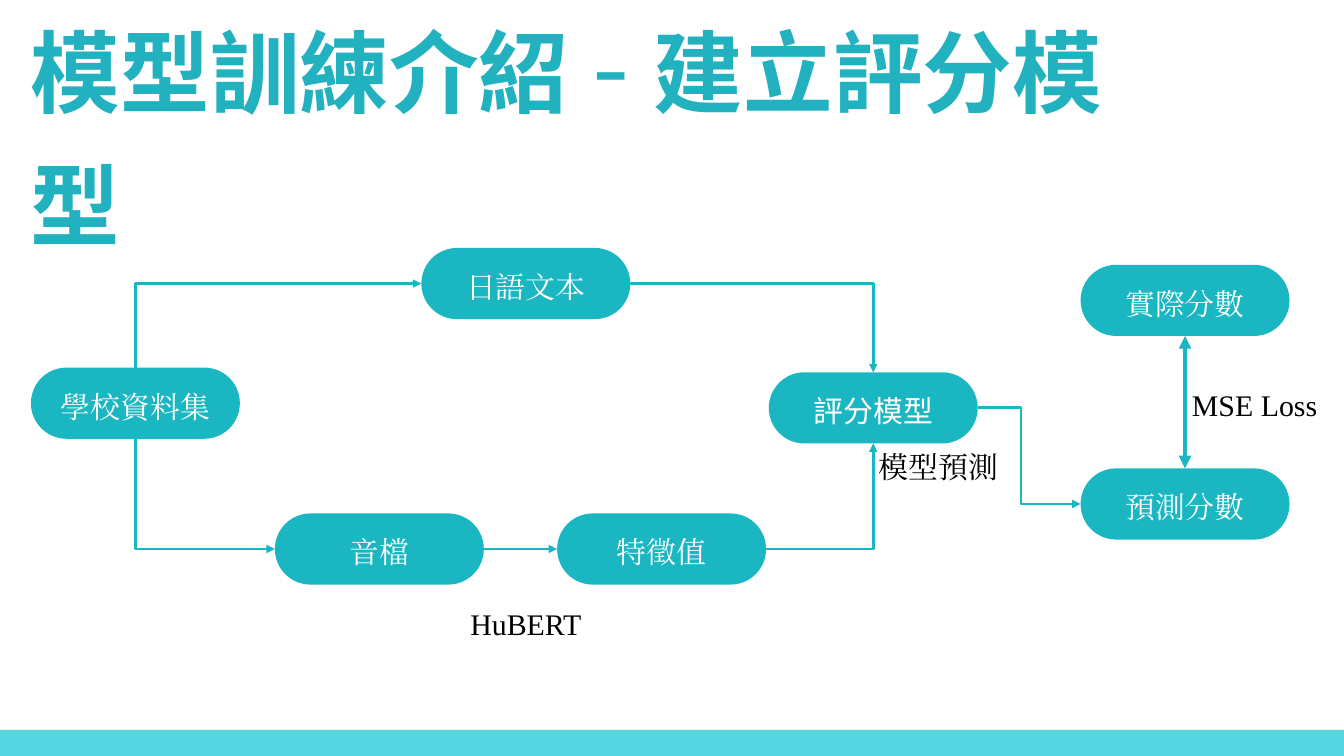
import pptx
import pptx.util
import pptx.dml.color
import pptx.enum.shapes
import pptx.enum.text
import pptx.oxml
import pptx.oxml.ns
from pptx.util import Inches

THEME = {
    "title_color": "22B1BE",
    "node_color": "1AB7C2",
    "footer_color": "55D6E1",
    "label_color": "000000",
    "node_text_color": "FFFFFF",
    "title_font": "Noto Sans CJK SC",
    "body_font": "Times New Roman",
    "model_font": "Lato",
    "title_size": 96,
    "dash_size": 115,
    "body_size": 32,
    "title_spacing": 139.1,
    "label_spacing": 36,
    "node_spacing": 44.8,
}

TITLE = [("模型訓練介紹", True), (" - ", False), ("建立評分模型", True)]
NODE_WIDTH, NODE_HEIGHT = 3.11, 1.06
NODES = {
    "學校資料集": (0.46, 5.47),
    "音檔": (4.09, 7.64),
    "特徵值": (8.29, 7.64),
    "日語文本": (6.27, 3.69),
    "評分模型": (11.44, 5.54),
    "實際分數": (16.08, 3.94),
    "預測分數": (16.08, 6.97),
}
LABELS = [
    ("HuBERT", 6.3, 9.04, 3.05),
    ("MSE Loss", 17.67, 5.79, 2),
    ("模型預測", 13, 6.71, 1.93),
]
TOP, LEFT, BOTTOM, RIGHT = range(4)
ELBOWS = [
    ("學校資料集", BOTTOM, "音檔", LEFT, 0),
    ("學校資料集", TOP, "日語文本", LEFT, 0),
    ("日語文本", RIGHT, "評分模型", TOP, 1),
    ("特徵值", RIGHT, "評分模型", BOTTOM, 1),
    ("評分模型", RIGHT, "預測分數", LEFT, 0.42),
]
STRAIGHTS = [
    ("音檔", RIGHT, "特徵值", LEFT, 3, ["tailEnd"]),
    ("實際分數", BOTTOM, "預測分數", TOP, 4.5, ["headEnd", "tailEnd"]),
]


def color(name):
    return pptx.dml.color.RGBColor.from_string(THEME[name])


def format_run(run, font, size, color_name, bold=False):
    run.font.name = font
    run.font.size = pptx.util.Pt(size)
    run.font.bold = bold
    run.font.color.rgb = color(color_name)
    east_asian = pptx.oxml.parse_xml(
        f'<a:ea {pptx.oxml.ns.nsdecls("a")} typeface="{font}"/>')
    run.font._element.append(east_asian)


def set_frame(text_frame, margin, anchor):
    text_frame.word_wrap = True
    text_frame.auto_size = pptx.enum.text.MSO_AUTO_SIZE.NONE
    text_frame.vertical_anchor = anchor
    text_frame.margin_left = text_frame.margin_right = Inches(margin)
    text_frame.margin_top = text_frame.margin_bottom = Inches(margin)


def set_centred_text(text_frame, text, font, color_name, spacing):
    text_frame.text = text
    paragraph = text_frame.paragraphs[0]
    paragraph.alignment = pptx.enum.text.PP_ALIGN.CENTER
    paragraph.line_spacing = pptx.util.Pt(spacing)
    format_run(paragraph.runs[0], font, THEME["body_size"], color_name)


def add_filled_shape(slide, kind, left, top, width, height, color_name):
    shape = slide.shapes.add_shape(
        kind, Inches(left), Inches(top), Inches(width), Inches(height))
    shape.shadow.inherit = False
    shape.fill.solid()
    shape.fill.fore_color.rgb = color(color_name)
    shape.line.fill.background()
    return shape


def add_title(slide):
    title = slide.shapes.title
    title.left, title.top = Inches(0.46), Inches(-0.03)
    title.width, title.height = Inches(17.12), Inches(1.85)
    set_frame(title.text_frame, 0, pptx.enum.text.MSO_ANCHOR.TOP)
    paragraph = title.text_frame.paragraphs[0]
    paragraph.alignment = pptx.enum.text.PP_ALIGN.LEFT
    paragraph.line_spacing = pptx.util.Pt(THEME["title_spacing"])
    for text, bold in TITLE:
        run = paragraph.add_run()
        run.text = text
        size = THEME["title_size"] if bold else THEME["dash_size"]
        format_run(run, THEME["title_font"], size, "title_color", bold)


def add_node(slide, text, left, top):
    node = add_filled_shape(
        slide, pptx.enum.shapes.MSO_SHAPE.ROUNDED_RECTANGLE,
        left, top, NODE_WIDTH, NODE_HEIGHT, "node_color")
    node.adjustments[0] = 0.5
    set_frame(node.text_frame, 0.06, pptx.enum.text.MSO_ANCHOR.MIDDLE)
    font = THEME["model_font" if text == "評分模型" else "body_font"]
    set_centred_text(node.text_frame, text, font, "node_text_color", THEME["node_spacing"])
    return node


def side_middle(node, side):
    center_x, center_y = node.left + node.width // 2, node.top + node.height // 2
    return {
        TOP: (center_x, node.top),
        LEFT: (node.left, center_y),
        BOTTOM: (center_x, node.top + node.height),
        RIGHT: (node.left + node.width, center_y),
    }[side]


def add_arrow(slide, kind, begin, end, width, heads):
    connector = slide.shapes.add_connector(kind, *begin, *end)
    connector.line.color.rgb = color("node_color")
    connector.line.width = pptx.util.Pt(width)
    namespace = pptx.oxml.ns.nsdecls("a")
    line = connector.line._get_or_add_ln()
    for head in heads:
        line.append(pptx.oxml.parse_xml(f'<a:{head} {namespace} type="triangle"/>'))
    connector._element.spPr.append(pptx.oxml.parse_xml(f"<a:effectLst {namespace}/>"))
    return connector


def set_bend(connector, fraction):
    geometry = connector._element.spPr.find(pptx.oxml.ns.qn("a:prstGeom"))
    guide = pptx.oxml.parse_xml(
        f'<a:gd {pptx.oxml.ns.nsdecls("a")} name="adj1" fmla="val {round(fraction * 100000)}"/>')
    geometry.get_or_add_avLst().append(guide)


def main():
    presentation = pptx.Presentation()
    presentation.slide_width, presentation.slide_height = Inches(20), Inches(11.25)
    slide = presentation.slides.add_slide(presentation.slide_layouts[5])
    add_title(slide)

    for text, left, top, width in LABELS:
        label = slide.shapes.add_textbox(Inches(left), Inches(top), Inches(width), Inches(0.5))
        set_frame(label.text_frame, 0, pptx.enum.text.MSO_ANCHOR.TOP)
        set_centred_text(label.text_frame, text, THEME["body_font"],
                         "label_color", THEME["label_spacing"])

    nodes = {text: add_node(slide, text, *place) for text, place in NODES.items()}
    connector_types = pptx.enum.shapes.MSO_CONNECTOR

    for source, source_side, target, target_side, bend in ELBOWS:
        elbow = add_arrow(slide, connector_types.ELBOW,
                          side_middle(nodes[source], source_side),
                          side_middle(nodes[target], target_side), 3, ["tailEnd"])
        set_bend(elbow, bend)

    for source, source_side, target, target_side, width, heads in STRAIGHTS:
        arrow = add_arrow(slide, connector_types.STRAIGHT,
                          side_middle(nodes[source], source_side),
                          side_middle(nodes[target], target_side), width, heads)
        arrow.begin_connect(nodes[source], source_side)
        arrow.end_connect(nodes[target], target_side)

    add_filled_shape(slide, pptx.enum.shapes.MSO_SHAPE.RECTANGLE,
                     0, 10.86, 20, 0.39, "footer_color")
    presentation.save("out.pptx")


if __name__ == "__main__":
    main()
